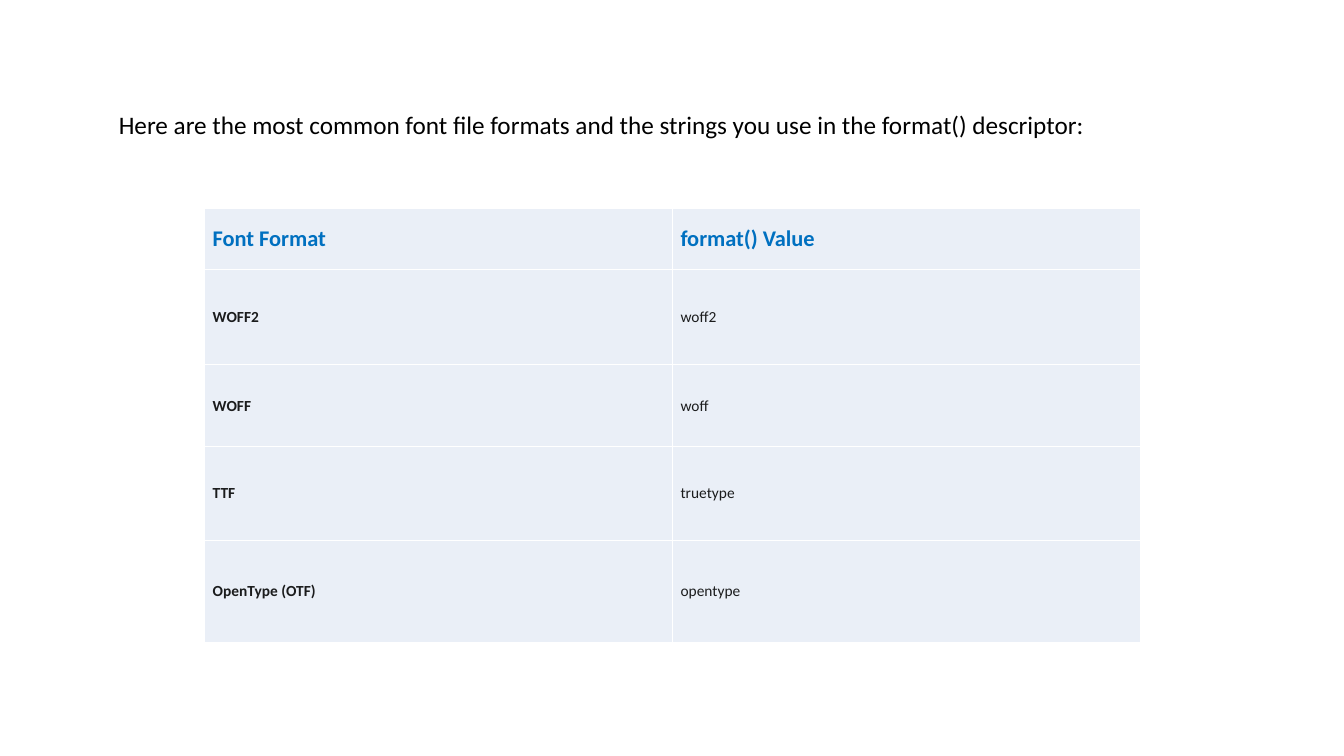
import pptx
import pptx.util
import pptx.dml.color
import pptx.enum.text
import pptx.oxml
import pptx.oxml.ns

EMU_PER_PX = 9144  # 100 px to the inch
COLORS = {
    "text": "000000",
    "heading": "0070C0",
    "body": "1B1C1D",
    "cell": "EAEFF7",
    "border": "FFFFFF",
}
COLUMN_WIDTHS = [464, 464]
ROW_HEIGHTS = [60, 95, 81, 93, 102]
FORMATS = [
    ("Font Format", "format() Value"),
    ("WOFF2", "woff2"),
    ("WOFF", "woff"),
    ("TTF", "truetype"),
    ("OpenType (OTF)", "opentype"),
]


def px(length):
    return pptx.util.Emu(length * EMU_PER_PX)


def color(name):
    return pptx.dml.color.RGBColor.from_string(COLORS[name])


class SlideBuilder:
    font_name = "Calibri"

    def __init__(self, page):
        self.page = page

    def add_span(self, frame, text, size, color_name, bold=False):
        span = frame.paragraphs[0].add_run()
        span.text = text
        style = {"name": self.font_name, "size": pptx.util.Pt(size), "bold": bold}
        for name, value in style.items():
            setattr(span.font, name, value)
        span.font.color.rgb = color(color_name)

    def text(self, left, top, width, height, text, size):
        box = self.page.shapes.add_textbox(px(left), px(top), px(width), px(height))
        box.text_frame.word_wrap = True
        box.text_frame.auto_size = pptx.enum.text.MSO_AUTO_SIZE.SHAPE_TO_FIT_TEXT
        self.add_span(box.text_frame, text, size, "text")

    def border(self, cell):
        properties = cell._tc.get_or_add_tcPr()
        for side in ("lnL", "lnR", "lnT", "lnB"):
            properties.append(pptx.oxml.parse_xml(
                f'<a:{side} {pptx.oxml.ns.nsdecls("a")} w="{pptx.util.Pt(1)}"><a:solidFill>'
                f'<a:srgbClr val="{COLORS["border"]}"/></a:solidFill></a:{side}>'))

    def cell(self, cell, text, size, color_name, bold):
        self.border(cell)
        cell.fill.solid()
        cell.fill.fore_color.rgb = color("cell")
        layout = {
            "vertical_anchor": pptx.enum.text.MSO_ANCHOR.MIDDLE,
            "margin_left": px(8),
            "margin_right": px(8),
            "margin_top": px(5),
            "margin_bottom": px(5),
        }
        for name, value in layout.items():
            setattr(cell, name, value)
        self.add_span(cell.text_frame, text, size, color_name, bold)

    def table(self, left, top, widths, heights, rows):
        """Add a table whose first row and first column are bold."""
        table = self.page.shapes.add_table(
            len(rows), len(widths), px(left), px(top),
            px(sum(widths)), px(sum(heights))).table
        for column, width in zip(table.columns, widths):
            column.width = px(width)
        for row, height in zip(table.rows, heights):
            row.height = px(height)
        for row_index, texts in enumerate(rows):
            heading = row_index == 0
            size, color_name = (16, "heading") if heading else (11, "body")
            for column_index, text in enumerate(texts):
                self.cell(table.cell(row_index, column_index), text, size,
                          color_name, heading or column_index == 0)


def main():
    deck = pptx.Presentation()
    deck.slide_width = px(1333)
    deck.slide_height = px(750)
    builder = SlideBuilder(deck.slides.add_slide(deck.slide_layouts[6]))
    builder.table(203, 207, COLUMN_WIDTHS, ROW_HEIGHTS, FORMATS)
    builder.text(108, 104, 1011, 40,
                 "Here are the most common font file formats and the strings "
                 "you use in the format() descriptor:", 18)
    deck.save("out.pptx")


if __name__ == "__main__":
    main()
